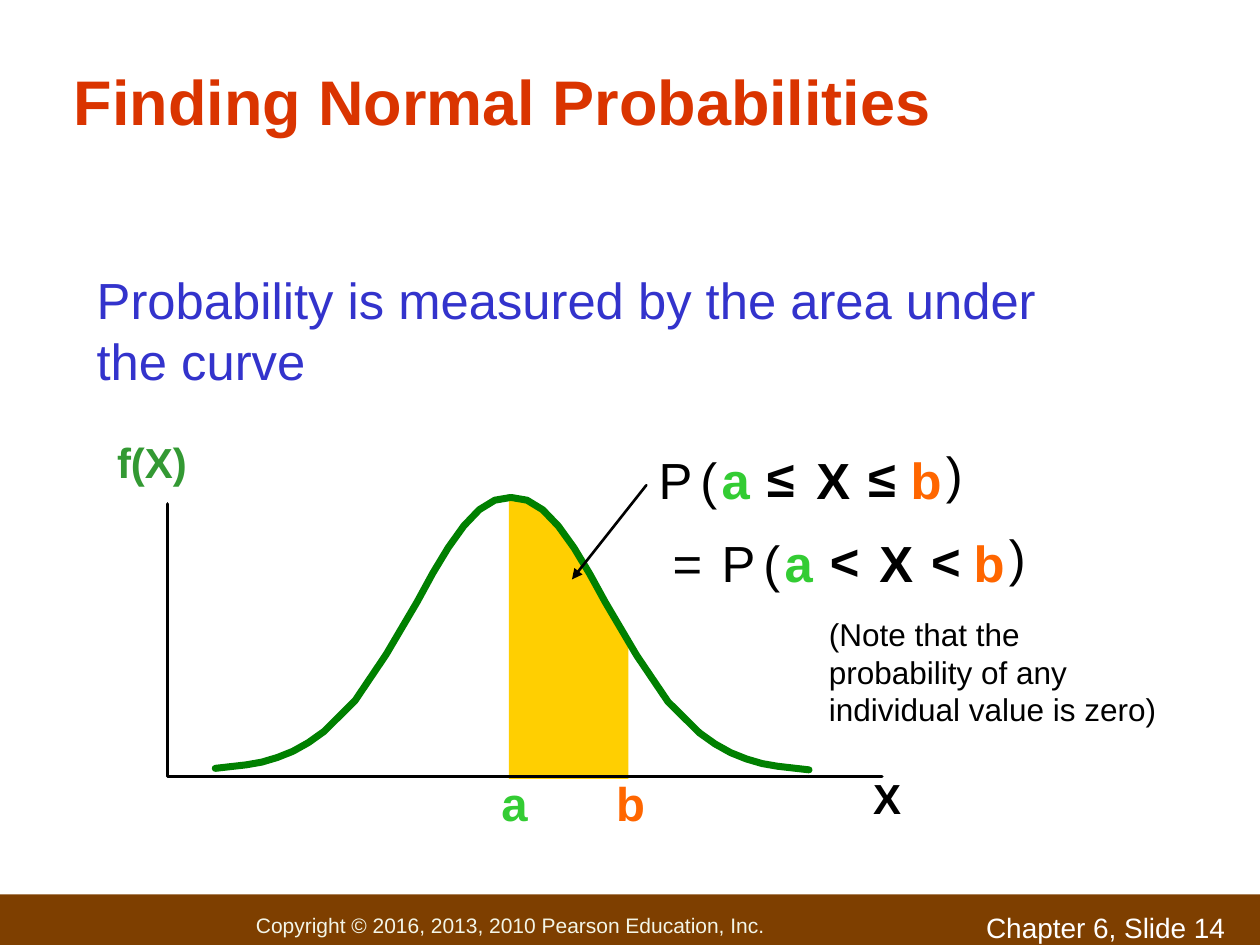
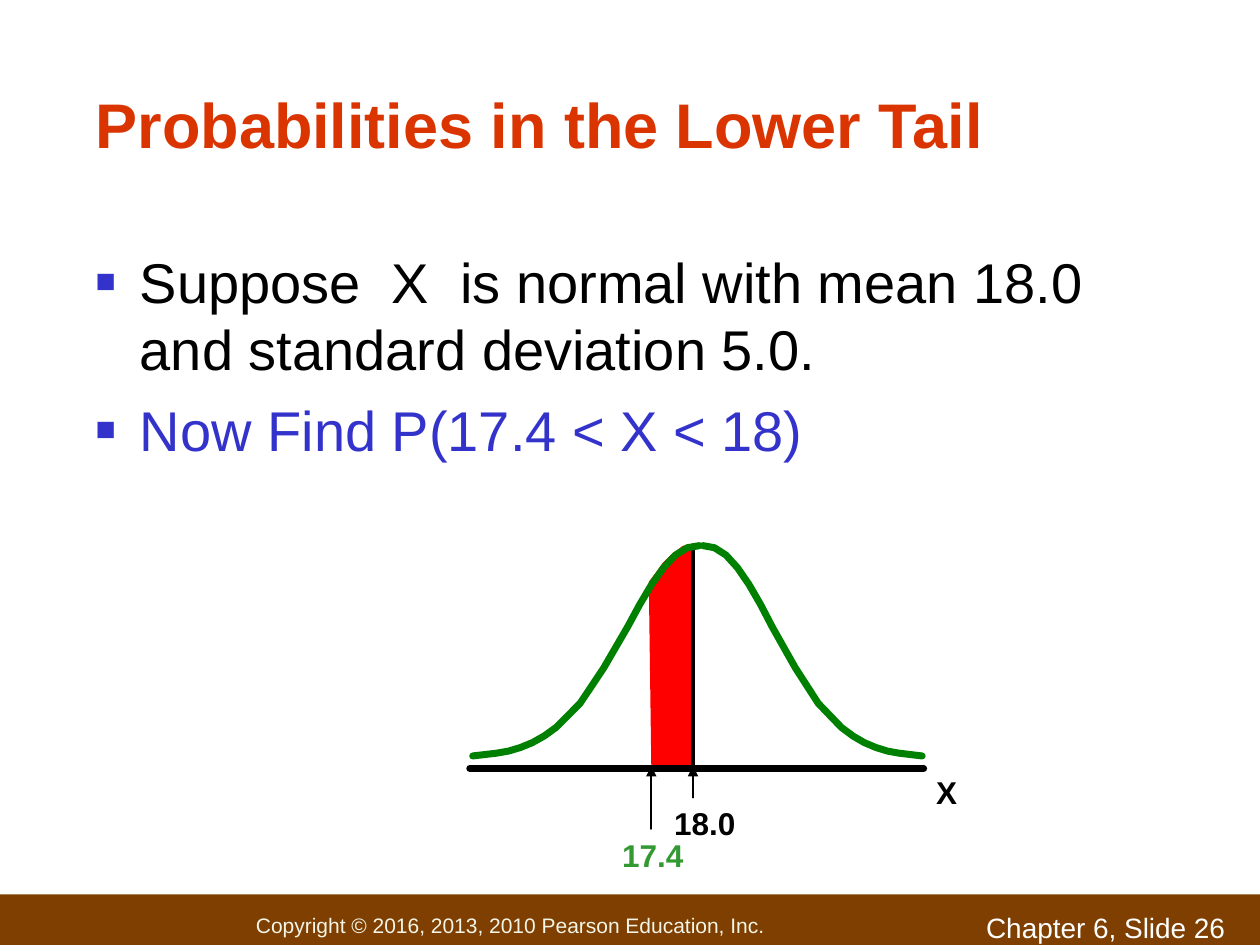
from lxml import etree
from pptx import Presentation
from pptx.dml.color import RGBColor
from pptx.enum.shapes import MSO_CONNECTOR, MSO_SHAPE
from pptx.enum.text import MSO_ANCHOR, PP_ALIGN
from pptx.oxml.ns import qn
from pptx.util import Cm, Pt

RECTANGLE = MSO_SHAPE.RECTANGLE
STRAIGHT = MSO_CONNECTOR.STRAIGHT
TOP, MIDDLE, BOTTOM = MSO_ANCHOR.TOP, MSO_ANCHOR.MIDDLE, MSO_ANCHOR.BOTTOM
LEFT = PP_ALIGN.LEFT

FONT = "Arial"
COLORS = {
    "title": "DA3400",
    "band": "7E3F00",
    "copyright": "F3F5E7",
    "white": "FFFFFF",
    "black": "000000",
    "blue": "3333CC",
    "curve": "008000",
    "green": "339933",
    "lower": "33CC33",
    "upper": "FF6600",
    "yellow": "FFCF01",
    "red": "FF0000",
    "tick": "CDCDCD",
}
PALETTE = {name: RGBColor.from_string(value) for name, value in COLORS.items()}


def write(slide, text, box, size, color="black", bold=False, anchor=TOP,
          margin=0.25, fill=None, bullet=None):
    """Put text in a box (left, top, width, height in cm); fill makes it a rectangle."""
    place = [Cm(value) for value in box]
    if fill:
        shape = slide.shapes.add_shape(RECTANGLE, *place)
        shape.shadow.inherit = False
        shape.fill.solid()
        shape.fill.fore_color.rgb = PALETTE[fill]
        shape.line.fill.background()
    else:
        shape = slide.shapes.add_textbox(*place)
    frame = shape.text_frame
    frame.word_wrap = True
    frame.vertical_anchor = anchor
    frame.margin_left = Cm(margin)
    frame.text = text
    for number, paragraph in enumerate(frame.paragraphs):
        paragraph.alignment = LEFT
        if bullet:
            properties = paragraph._p.get_or_add_pPr()
            properties.set("marL", str(Cm(0.89)))
            properties.set("indent", str(-Cm(0.89)))
            bullet_color = etree.SubElement(properties, qn("a:buClr"))
            etree.SubElement(bullet_color, qn("a:srgbClr"), val=COLORS["blue"])
            etree.SubElement(properties, qn("a:buSzPct"), val="60000")
            etree.SubElement(properties, qn("a:buFont"), typeface=FONT)
            etree.SubElement(properties, qn("a:buChar"), char=bullet)
        if number:
            paragraph.space_before = Pt(8)
        font = paragraph.runs[0].font
        font.name, font.size, font.bold = FONT, Pt(size), bold
        font.color.rgb = PALETTE[color]
    return frame


def draw(slide, points, color="black", width=None, cap="rnd", arrow=False):
    """Join points (cm) by a line of the given width, or fill their outline if none."""
    corners = [(Cm(x), Cm(y)) for x, y in points]
    if len(corners) == 2:
        shape = slide.shapes.add_connector(STRAIGHT, *corners[0], *corners[1])
    else:
        builder = slide.shapes.build_freeform(*corners[0], scale=1.0)
        builder.add_line_segments(corners[1:], close=width is None)
        shape = builder.convert_to_shape()
        shape.fill.background()
    if width is None:
        shape.fill.solid()
        shape.fill.fore_color.rgb = PALETTE[color]
        shape.line.fill.background()
    else:
        shape.line.color.rgb = PALETTE[color]
        shape.line.width = Pt(width)
        outline = shape._element.spPr.find(qn("a:ln"))
        outline.set("cap", cap)
        etree.SubElement(outline, qn("a:round"))
        if arrow:
            etree.SubElement(outline, qn("a:tailEnd"), type="triangle")
    etree.SubElement(shape._element.spPr, qn("a:effectLst"))


deck = Presentation()
deck.slide_width, deck.slide_height = Cm(25.4), Cm(19.05)

# Shared title and footer
slides = []
for title, title_box, anchor, margin, number in [
    ("Finding Normal Probabilities", (0.2, 0.76, 20.52, 2.51), MIDDLE, 1.29, 14),
    ("Probabilities in the Lower Tail", (1.7, 0.64, 22.02, 2.74), BOTTOM, 0.23, 26),
]:
    slide = deck.slides.add_slide(deck.slide_layouts[6])
    write(slide, "Copyright © 2016, 2013, 2010 Pearson Education, Inc.",
          (0, 18.03, 25.4, 1.24), 12, "copyright", anchor=MIDDLE, margin=5.16,
          fill="band")
    write(slide, f"Chapter 6, Slide {number}", (19.63, 18.24, 5.92, 0.66), 16, "white")
    write(slide, title, title_box, 36, "title", bold=True, anchor=anchor, margin=margin)
    slides.append(slide)
area_slide, tail_slide = slides

# Areas under the curves, and the line at the mean
draw(area_slide, [(10.26, 10.03), (10.64, 10.13), (10.92, 10.29), (11.33, 10.8),
                  (11.68, 11.3), (12.07, 11.99), (12.4, 12.6), (12.67, 13.03),
                  (12.67, 15.7), (10.26, 15.7)], "yellow")
draw(tail_slide, [(13.13, 15.44), (13.08, 11.73), (13.21, 11.56), (13.36, 11.35),
                  (13.51, 11.2), (13.64, 11.1), (13.77, 11), (13.97, 11),
                  (13.97, 15.44)], "red")
draw(tail_slide, [(13.97, 11), (13.97, 15.44)], width=2.5)

# Each half of a bell curve rises from its tail to its peak by the same profile
STEPS = [0, 2, 3, 4, 5, 6, 7, 9, 11, 13, 14, 15, 16, 17, 18, 19]
RISE_PERCENTS = [0, 1.3, 2.3, 4, 6.3, 9.5, 13.6, 25,
                 42, 61.5, 72, 81.5, 89.5, 95.5, 99, 100]
for slide, (tail_x, tail_y), (peak_x, peak_y) in [
    (area_slide, (16.31, 15.52), (10.31, 10.03)),
    (area_slide, (4.34, 15.49), (10.29, 10.03)),
    (tail_slide, (18.59, 15.24), (14.17, 11)),
    (tail_slide, (9.53, 15.24), (14.1, 11)),
]:
    half = [(tail_x + (peak_x - tail_x) * step / STEPS[-1],
             tail_y + (peak_y - tail_y) * percent / 100)
            for step, percent in zip(STEPS, RISE_PERCENTS)]
    draw(slide, half, "curve", width=4)

# Slide 14: axes, tick dots and labels
write(area_slide, "Probability is measured by the area under the curve",
      (1.7, 5.3, 20.75, 2.69), 29, "blue")
draw(area_slide, [(3.38, 10.16), (3.38, 15.65), (17.78, 15.65)], width=2)
for tick in range(10):
    dot = (4.27, 10.03 + 0.55 * tick)
    draw(area_slide, [dot, dot], "tick", width=2, cap="flat")
for label, box, size, color in [
    ("a", (9.86, 15.49, 1.04, 1.4), 27, "lower"),
    ("b", (12.17, 15.49, 1.09, 1.4), 27, "upper"),
    ("X", (17.35, 15.44, 1.07, 1.27), 24, "black"),
    ("f(X)", (2.11, 8.67, 2.4, 1.27), 24, "green"),
]:
    write(area_slide, label, box, size, color, bold=True)

# The second formula row repeats the first, moved right and down
for row, sign in enumerate("≤<"):
    for symbol, left, top, width, color, bold in [
        ("P", 13.03, 8.92, 1.19, "black", False),
        ("(", 13.87, 8.92, 0.84, "black", False),
        ("a", 14.3, 8.92, 1.07, "lower", True),
        (sign, 15.21, 8.89, 1.07, "black", True),
        ("X", 16.21, 8.92, 1.19, "black", True),
        (sign, 17.25, 8.89, 1.07, "black", True),
        ("b", 18.11, 8.92, 1.12, "upper", True),
        (")", 18.82, 8.81, 0.84, "black", False),
    ]:
        write(area_slide, symbol, (left + 1.27 * row, top + 1.67 * row, width, 1.47),
              29, color, bold=bold)
write(area_slide, "=", (13.31, 10.59, 1.09, 1.47), 29)
draw(area_slide, [(13.03, 9.78), (11.53, 11.68)], width=1.5, arrow=True)
write(area_slide, "(Note that the probability of any individual value is zero)",
      (16.46, 12.27, 7.25, 2.54), 18)

# Slide 26: statement, axis, values and their arrows
statement = write(tail_slide,
                  "Suppose  X  is normal with mean 18.0 and standard deviation 5.0.\n"
                  "Now Find P(17.4 < X < 18)",
                  (1.7, 4.86, 22.43, 12.6), 32, margin=0.23, bullet="■")
statement.paragraphs[1].runs[0].font.color.rgb = PALETTE["blue"]
draw(tail_slide, [(9.47, 15.49), (18.62, 15.49)], width=4)
for label, left, top, width, color in [
    ("X", 18.62, 15.46, 1.07, "black"),
    ("17.4", 12.29, 16.73, 1.9, "green"),
    ("18.0", 13.34, 16.08, 1.9, "black"),
]:
    write(tail_slide, label, (left, top, width, 1.02), 18, color, bold=True)
for x, start in [(13.97, 16.08), (13.13, 16.71)]:
    draw(tail_slide, [(x, start), (x, 15.44)], width=1, arrow=True)

deck.save("out.pptx")
